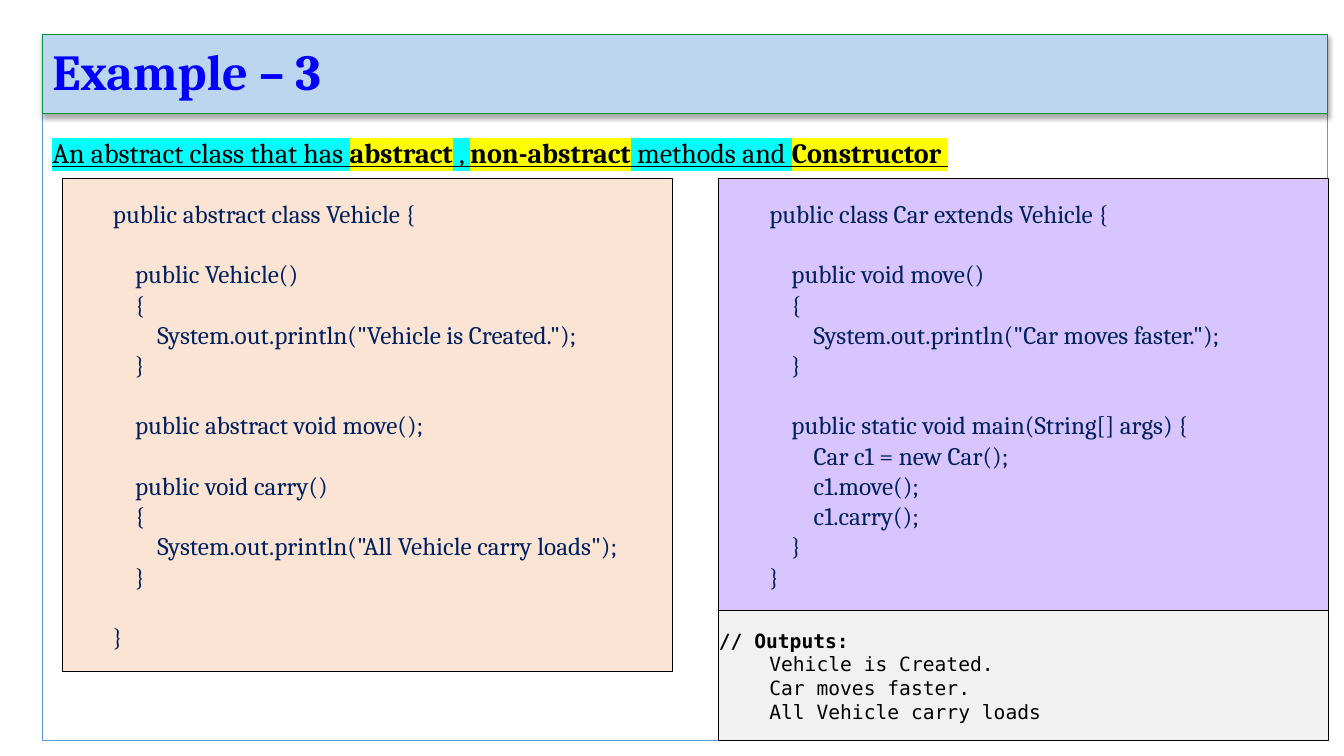
from lxml import etree
from pptx import Presentation
from pptx.dml.color import RGBColor
from pptx.enum.shapes import MSO_SHAPE as Shape
from pptx.enum.text import MSO_ANCHOR as Anchor, MSO_AUTO_SIZE as AutoSize, PP_ALIGN as Align
from pptx.oxml import parse_xml
from pptx.oxml.ns import nsdecls, qn
from pptx.util import Inches, Pt


def style_box(box, line, fill=None, anchor=Anchor.MIDDLE, inset=(0.1, 0.05)):
    """Set outline, fill and text frame of a box; inset is (sides, top and bottom)."""
    box.shadow.inherit = False
    box.line.color.rgb = RGBColor.from_string(line)
    box.line.width = Pt(0.75)
    if fill:
        box.fill.solid()
        box.fill.fore_color.rgb = RGBColor.from_string(fill)
    else:
        box.fill.background()
    side, end = map(Inches, inset)
    values = {"margin_left": side, "margin_right": side, "margin_top": end,
              "margin_bottom": end, "vertical_anchor": anchor,
              "word_wrap": True, "auto_size": AutoSize.NONE}
    for name, value in values.items():
        setattr(box.text_frame, name, value)


def add_span(para, text, color, **values):
    para.alignment = Align.LEFT
    span = para.add_run()
    span.text = text
    span.font.color.rgb = RGBColor.from_string(color)
    for name, value in values.items():
        setattr(span.font, name, value)
    return span


deck = Presentation()
deck.slide_width, deck.slide_height = Inches(13.33), Inches(7.5)
page = deck.slides.add_slide(deck.slide_layouts[5])

# Title bar with a soft shadow below
title = page.shapes.title
title.left, title.top, title.width, title.height = map(Inches, (0.42, 0.34, 12.75, 0.79))
style_box(title, "009242", "BBD6EE")
heading = title.text_frame.paragraphs[0]
heading.line_spacing = 0.9
add_span(heading, "Example – 3", "0000FF", name="Cambria", size=Pt(36), bold=True)
effects = title.element.spPr.find(qn("a:effectLst"))
effects.append(parse_xml(
    f'<a:outerShdw {nsdecls("a")} blurRad="{Pt(3.5)}" dist="{Pt(2.2)}" dir="5400000">'
    '<a:srgbClr val="000000"><a:alpha val="32000"/></a:srgbClr></a:outerShdw>'))

# Body frame behind the title, with the highlighted summary
body = page.shapes.add_shape(Shape.RECTANGLE, *map(Inches, (0.42, 1.13, 12.75, 6.22)))
title.element.addprevious(body.element)
style_box(body, "5B9BD5", anchor=Anchor.TOP)
summary = body.text_frame.paragraphs[0]
summary.line_spacing = 1.5
summary_spans = [("An abstract class that has ", False), ("abstract", True), (" , ", False),
                 ("non-abstract", True), (" methods and ", False), ("Constructor ", True)]
for text, is_key in summary_spans:
    span = add_span(summary, text, "000000", name="Cambria", size=Pt(20),
                    bold=is_key, underline=True)
    latin = span.font.fill and span._r.get_or_add_rPr().find(qn("a:latin"))
    highlight = etree.Element(qn("a:highlight"))
    etree.SubElement(highlight, qn("a:srgbClr"), val="FFFF00" if is_key else "00FFFF")
    latin.addprevious(highlight)

# Code lines: (nesting depth, text, whether a line is left free above)
vehicle_code = [
    (0, "public abstract class Vehicle {", False),
    (1, "public Vehicle()", True),
    (1, "{", False),
    (2, 'System.out.println("Vehicle is Created.");', False),
    (1, "}", False),
    (1, "public abstract void move();", True),
    (1, "public void carry()", True),
    (1, "{", False),
    (2, 'System.out.println("All Vehicle carry loads");', False),
    (1, "}", False),
    (0, "}", True),
]
car_code = [
    (0, "public class Car extends Vehicle {", False),
    (1, "public void move()", True),
    (1, "{", False),
    (2, 'System.out.println("Car moves faster.");', False),
    (1, "}", False),
    (1, "public static void main(String[] args) {", True),
    (2, "Car c1 = new Car();", False),
    (2, "c1.move();", False),
    (2, "c1.carry();", False),
    (1, "}", False),
    (0, "}", False),
]
code_boxes = [(7.13, 4.29, "D8C5FF", car_code), (0.62, 4.89, "FBE4D4", vehicle_code)]
for left, height, fill, code in code_boxes:
    box = page.shapes.add_shape(Shape.RECTANGLE, *map(Inches, (left, 1.77, 6.05, height)))
    style_box(box, "000000", fill, inset=(0, 0.17))
    for number, (depth, text, gap_above) in enumerate(code):
        frame = box.text_frame
        para = frame.add_paragraph() if number else frame.paragraphs[0]
        para.space_before = Pt(21.6 if gap_above else 0)
        indent = Inches(0.5 + 0.22 * depth)
        para._p.get_or_add_pPr().set("marL", str(indent))
        add_span(para, text, "002060", name="Cambria", size=Pt(18))

# Program output
output = page.shapes.add_shape(Shape.RECTANGLE, *map(Inches, (7.13, 6.06, 6.05, 1.29)))
style_box(output, "000000", "F1F1F1", inset=(0, 0.17))
output_lines = ["// Outputs:", "Vehicle is Created.", "Car moves faster.",
                "All Vehicle carry loads"]
for number, text in enumerate(output_lines):
    frame = output.text_frame
    para = frame.add_paragraph() if number else frame.paragraphs[0]
    para._p.get_or_add_pPr().set("marL", str(Inches(0.5 if number else 0)))
    add_span(para, text, "000000", name="DejaVu Sans Mono", size=Pt(14), bold=number == 0)

deck.save("out.pptx")
